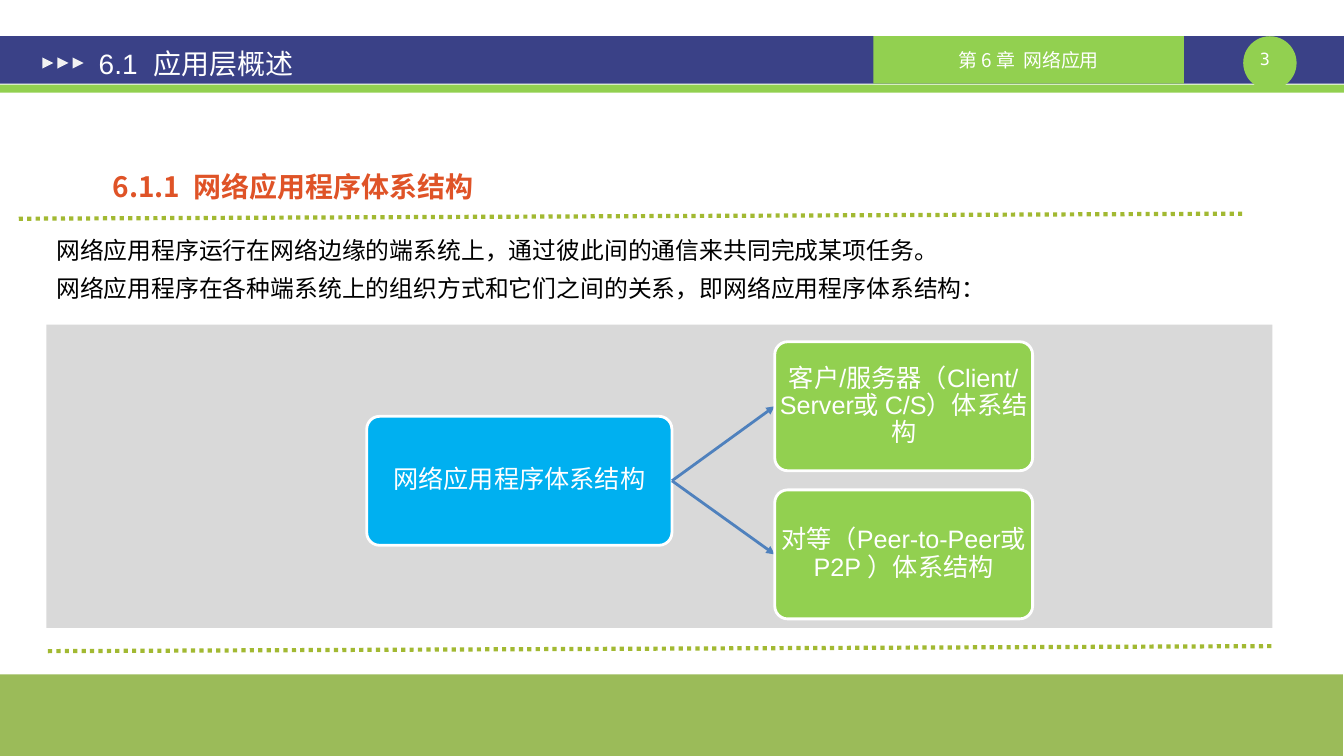
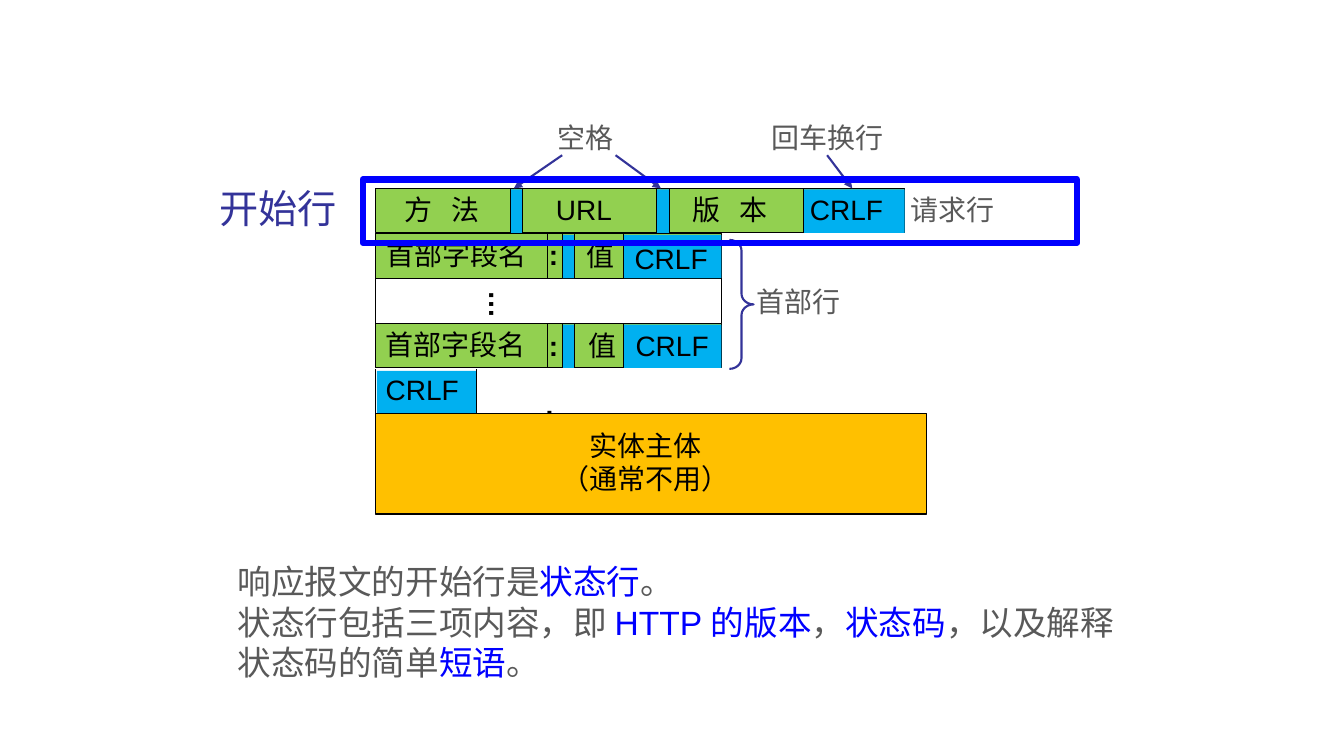
from lxml import etree
from pptx import Presentation
from pptx.dml.color import RGBColor
from pptx.enum.dml import MSO_LINE
from pptx.enum.shapes import MSO_CONNECTOR, MSO_SHAPE
from pptx.enum.text import MSO_ANCHOR, PP_ALIGN
from pptx.oxml.ns import qn
from pptx.util import Emu, Pt

PX = 9144  # 100 px to the inch
RECT, ROUND, OVAL = MSO_SHAPE.RECTANGLE, MSO_SHAPE.ROUNDED_RECTANGLE, MSO_SHAPE.OVAL
TRIANGLE, BRACE = MSO_SHAPE.ISOSCELES_TRIANGLE, MSO_SHAPE.RIGHT_BRACE
STRAIGHT, DOTTED = MSO_CONNECTOR.STRAIGHT, MSO_LINE.ROUND_DOT
LEFT, CENTER = PP_ALIGN.LEFT, PP_ALIGN.CENTER
TOP, MIDDLE = MSO_ANCHOR.TOP, MSO_ANCHOR.MIDDLE

LATIN, CJK, LABEL, MONO = "Arial", "Noto Sans CJK SC", "Lato", "DejaVu Sans Mono"
WHITE, BLACK, GRAY, PANEL = "FFFFFF", "000000", "595959", "D9D9D9"
NAVY, GREEN, CYAN, GOLD = "3A4187", "92D050", "00B0F0", "FFC000"
INDIGO, BLUE, ORANGE, OLIVE = "333399", "0000FF", "DF5327", "A2B932"
ARROW, MOSS, PALE = "4F81BD", "9BBB59", "F2F2F2"

# Slide 1
CHAPTER, PAGE = "第 6 章  网络应用", "3 "
TITLE, HEADING = "6.1  应用层概述", "6.1.1  网络应用程序体系结构"
INTRO = [
    "网络应用程序运行在网络边缘的端系统上，通过彼此间的通信来共同完成某项任务。",
    "网络应用程序在各种端系统上的组织方式和它们之间的关系，即网络应用程序体系结构：",
]
ROOT = "网络应用程序体系结构"
BRANCHES = ["客户/服务器（Client/Server或 C/S）体系结构", "对等（Peer-to-Peer或P2P ）体系结构"]
RULES = [(1262, 641, 47, 646), (1233, 212, 18, 217)]

# Slide 2
LEFT_X, ROW_H = 373, 44
START_Y, HEAD_Y, MORE_Y, LAST_Y, BLANK_Y, BODY_Y = 187, 232, 276, 321, 366, 410
HEAD_FIELDS = [(558, 12), (619, 97)]
HEAD_DIVIDERS = [543, 558, 570, 619]
# top, width, separator fields (x, width), dividers
ROWS = [
    (LAST_Y, 343, HEAD_FIELDS, HEAD_DIVIDERS),
    (HEAD_Y, 343, HEAD_FIELDS, HEAD_DIVIDERS),
    (START_Y, 525, [(507, 12), (652, 12), (798, 100)], [507, 519, 652, 665, 798]),
]
OPEN_SIDES = [(373, MORE_Y), (716, MORE_Y), (373, BLANK_Y), (473, BLANK_Y)]
FIELD_TEXTS = [
    ("方   法", 392, 186, 101), ("URL", 542, 186, 76), ("版   本", 678, 186, 101),
    ("CRLF", 794, 186, 94),
    ("首部字段名", 374, 231, 160), ("值", 572, 232, 48), ("CRLF", 620, 235, 94),
    ("首部字段名", 373, 320, 160), ("值", 574, 321, 48), ("CRLF", 621, 321, 93),
    ("CRLF", 373, 365, 94),
]
COLONS = [(535, 231, 23), (535, 321, 23), (531, 389, 29)]
NOTES = [("首部行", 741, 277, 104), ("请求行", 894, 186, 104),
         ("空格", 544, 115, 76), ("回车换行", 756, 115, 132)]
POINTERS = [(611, 154, 656, 187), (558, 154, 510, 187), (821, 154, 846, 187)]
BODY = ["实体主体", "（通常不用）"]
SUMMARY = [
    [("响应报文的开始行是", GRAY), ("状态行", BLUE), ("。", GRAY)],
    [("状态行包括三项内容，即 ", GRAY), ("HTTP 的版本", BLUE), ("，", GRAY), ("状态码", BLUE),
     ("，以及解释状态码的简单", GRAY), ("短语", BLUE), ("。", GRAY)],
]


def px(*values):
    return [Emu(v * PX) for v in values]


def rgb(value):
    return RGBColor.from_string(value)


def write(sp, paras, size, color, font=LATIN, bold=False, align=LEFT, anchor=TOP,
          inset=(10, 5), wrap=True, spacing=None, before=0):
    """Fill a shape with paragraphs, each a string or a list of (text, colour) runs."""
    tf = sp.text_frame
    tf.word_wrap, tf.vertical_anchor = wrap, anchor
    tf.margin_left, tf.margin_top = tf.margin_right, tf.margin_bottom = px(*inset)
    for i, para in enumerate(paras):
        p = tf.add_paragraph() if i else tf.paragraphs[0]
        p.alignment, p.space_before = align, Pt(before)
        if spacing:
            p.line_spacing = spacing
        for text, run_color in [(para, color)] if isinstance(para, str) else para:
            r = p.add_run()
            r.text = text
            r.font.size, r.font.bold, r.font.name = Pt(size), bold, font
            r.font.color.rgb = rgb(run_color)
            etree.SubElement(r.font._element, qn("a:ea"), typeface=CJK)


def add_text(slide, box, paras, size, color, **style):
    sp = slide.shapes.add_textbox(*px(*box))
    write(sp, paras, size, color, **style)
    return sp


def add_shape(slide, kind, box, fill=None, line=None, width=0.75):
    sp = slide.shapes.add_shape(kind, *px(*box))
    sp.shadow.inherit = False
    if fill:
        sp.fill.solid()
        sp.fill.fore_color.rgb = rgb(fill)
    else:
        sp.fill.background()
    if line:
        sp.line.color.rgb, sp.line.width = rgb(line), Pt(width)
    else:
        sp.line.fill.background()
    return sp


def add_line(slide, ends, color=BLACK, width=0.75, dash=None, arrow=False):
    c = slide.shapes.add_connector(STRAIGHT, *px(*ends))
    c.line.color.rgb, c.line.width = rgb(color), Pt(width)
    if dash:
        c.line.dash_style = dash
    if arrow:
        etree.SubElement(c.line._get_or_add_ln(), qn("a:tailEnd"), type="triangle")
    etree.SubElement(c._element.spPr, qn("a:effectLst"))


def add_header(slide, title):
    add_shape(slide, RECT, (0, 36, 1334, 47), NAVY)
    add_shape(slide, RECT, (0, 84, 1334, 8), GREEN)
    add_shape(slide, OVAL, (1234, 36, 53, 53), GREEN)
    add_text(slide, (1234, 48, 53, 20), [PAGE], 12, WHITE, font=MONO, align=CENTER,
             inset=(0, 0))
    chapter = add_shape(slide, RECT, (867, 36, 308, 47), GREEN)
    write(chapter, [CHAPTER], 13.5, WHITE, font=CJK, align=CENTER, anchor=MIDDLE)
    for i in range(3):
        add_shape(slide, TRIANGLE, (42 + 15 * i, 57, 11, 11), PALE).rotation = 90
    add_text(slide, (85, 39, 583, 47), [title], 20, WHITE, anchor=MIDDLE, inset=(13, 7))


def add_node(slide, box, text, fill):
    sp = add_shape(slide, ROUND, box, fill, WHITE, 2)
    sp.adjustments[0] = 0.1
    write(sp, [text], 18, WHITE, align=CENTER, anchor=MIDDLE, inset=(1, 1), spacing=0.9)


def build_architecture(slide):
    add_header(slide, TITLE)
    add_shape(slide, RECT, (46, 322, 1217, 301), PANEL)
    add_text(slide, (46, 220, 1217, 82), INTRO, 17, BLACK, font=CJK, spacing=1.3, before=1)
    add_text(slide, (102, 163, 415, 44), [HEADING], 20, ORANGE, font=CJK, bold=True,
             anchor=MIDDLE)
    add_shape(slide, RECT, (0, 669, 1333, 81), MOSS)
    for ends in RULES:
        add_line(slide, ends, OLIVE, 3, dash=DOTTED)

    root_x, root_y, root_w, node_h = 364, 413, 303, 128
    branch_x, branch_y, branch_w, pitch = 769, 339, 256, 147
    add_node(slide, (root_x, root_y, root_w, node_h), ROOT, CYAN)
    for i, text in enumerate(BRANCHES):
        y = branch_y + pitch * i
        add_line(slide, (root_x + root_w, root_y + node_h // 2, branch_x, y + node_h // 2),
                 ARROW, 2, arrow=True)
        add_node(slide, (branch_x, y, branch_w, node_h), text, GREEN)


def build_message(slide):
    for top, width, fields, dividers in ROWS:
        add_shape(slide, RECT, (LEFT_X, top, width, ROW_H), GREEN, BLACK)
        for x, w in fields:
            add_shape(slide, RECT, (x, top + 1, w, ROW_H - 1), CYAN)
        for x in dividers:
            add_line(slide, (x, top, x, top + ROW_H))
    add_shape(slide, RECT, (374, 368, 99, 42), CYAN)
    for x, y in OPEN_SIDES:
        add_line(slide, (x, y, x, y + ROW_H))

    for x, y, w in COLONS:
        add_text(slide, (x, y, w, 44), [":"], 20, BLACK, bold=True, wrap=False)
    dots = add_text(slide, (455, 280, 48, 44), ["…"], 20, BLACK, bold=True, wrap=False)
    dots.rotation = 270
    for items, color in ((FIELD_TEXTS, BLACK), (NOTES, GRAY)):
        for text, x, y, w in items:
            add_text(slide, (x, y, w, 44), [text], 20, color, wrap=False)

    add_shape(slide, RECT, (LEFT_X, BODY_Y, 547, 100), GOLD, BLACK)
    add_text(slide, (547, 420, 188, 77), BODY, 20, BLACK, align=CENTER, wrap=False)
    brace = add_shape(slide, BRACE, (724, 238, 24, 128), line=INDIGO, width=1.5)
    brace.adjustments[0], brace.adjustments[1] = 0.44, 0.5
    for ends in POINTERS:
        add_line(slide, ends, INDIGO, 1.5, arrow=True)

    add_text(slide, (226, 552, 898, 131), SUMMARY, 24, GRAY)
    add_shape(slide, RECT, (360, 178, 709, 63), line=BLUE, width=4.5)
    add_text(slide, (208, 178, 138, 57), ["开始行"], 28, INDIGO, font=LABEL, wrap=False)


def main():
    prs = Presentation()
    prs.slide_width, prs.slide_height = px(1334, 750)
    for build in (build_architecture, build_message):
        build(prs.slides.add_slide(prs.slide_layouts[6]))
    prs.save("out.pptx")


if __name__ == "__main__":
    main()
